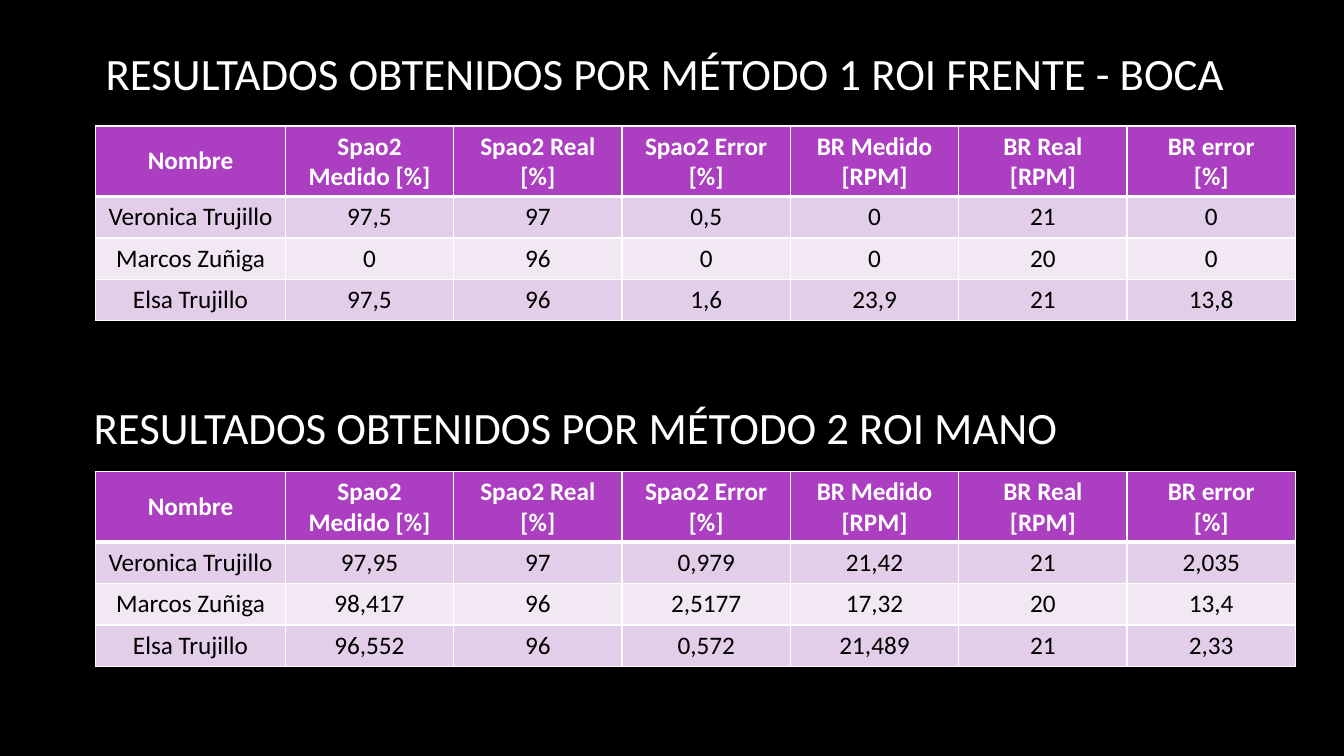
from lxml import etree
from pptx import Presentation
from pptx import util as u
from pptx.dml.color import RGBColor
from pptx.enum import text
from pptx.oxml import ns

COLORS = {
    "background": "000000",
    "white": "FFFFFF",
    "black": "000000",
    "header": "AC3EC1",
    "odd": "E3CEE9",
    "even": "F1E8F4",
}


def write(tf, content, size=18, color="black", bold=False, align=text.PP_ALIGN.LEFT):
    tf.word_wrap = True
    for i, line in enumerate(content.split("\n")):
        p = tf.add_paragraph() if i else tf.paragraphs[0]
        p.alignment = align
        r = p.add_run()
        r.text = line
        r.font.name = "Calibri"
        r.font.size = u.Pt(size)
        r.font.bold = bold
        r.font.color.rgb = RGBColor.from_string(COLORS[color])


def set_borders(cell, widths):
    tcPr = cell._tc.get_or_add_tcPr()
    for side, width in widths.items():
        ln = etree.SubElement(tcPr, ns.qn("a:ln" + side), w=str(u.Pt(width)))
        fill = etree.SubElement(ln, ns.qn("a:solidFill"))
        etree.SubElement(fill, ns.qn("a:srgbClr"), val=COLORS["white"])


HEADER = ["Nombre", "Spao2 Medido [%]", "Spao2 Real [%]", "Spao2 Error [%]",
          "BR Medido [RPM]", "BR Real [RPM]", "BR error\n[%]"]
COL_WIDTHS = [1.88] + [1.67] * 6
ROW_HEIGHTS = [0.7] + [0.41] * 3

SECTIONS = [
    ("RESULTADOS OBTENIDOS POR MÉTODO 1 ROI FRENTE - BOCA", 0.95, -0.01, 1.25, [
        ["Veronica Trujillo", "97,5", "97", "0,5", "0", "21", "0"],
        ["Marcos Zuñiga", "0", "96", "0", "0", "20", "0"],
        ["Elsa Trujillo", "97,5", "96", "1,6", "23,9", "21", "13,8"],
    ]),
    ("RESULTADOS OBTENIDOS POR MÉTODO 2 ROI MANO", 0.83, 3.51, 4.68, [
        ["Veronica Trujillo", "97,95", "97", "0,979", "21,42", "21", "2,035"],
        ["Marcos Zuñiga", "98,417", "96", "2,5177", "17,32", "20", "13,4"],
        ["Elsa Trujillo", "96,552", "96", "0,572", "21,489", "21", "2,33"],
    ]),
]

prs = Presentation()
prs.slide_width = u.Inches(13.33)
prs.slide_height = u.Inches(7.5)
s = prs.slides.add_slide(prs.slide_layouts[6])
s.background.fill.solid()
s.background.fill.fore_color.rgb = RGBColor.from_string(COLORS["background"])

for title, title_left, title_top, table_top, results in SECTIONS:
    sp = s.shapes.add_textbox(u.Inches(title_left), u.Inches(title_top),
                              u.Inches(12.07), u.Inches(1.45))
    sp.text_frame.vertical_anchor = text.MSO_ANCHOR.MIDDLE
    write(sp.text_frame, title, size=32, color="white")

    rows = [HEADER] + results
    table = s.shapes.add_table(len(rows), len(HEADER), u.Inches(0.95), u.Inches(table_top),
                               u.Inches(sum(COL_WIDTHS)), u.Inches(sum(ROW_HEIGHTS))).table
    for col, width in zip(table.columns, COL_WIDTHS):
        col.width = u.Inches(width)
    for i, (values, height) in enumerate(zip(rows, ROW_HEIGHTS)):
        table.rows[i].height = u.Inches(height)
        is_header = i == 0
        fill = "header" if is_header else "odd" if i % 2 else "even"
        borders = {"L": 1, "R": 1, "T": 3 if i == 1 else 1, "B": 3 if is_header else 1}
        for j, value in enumerate(values):
            cell = table.cell(i, j)
            cell.vertical_anchor = text.MSO_ANCHOR.MIDDLE
            set_borders(cell, borders)
            cell.fill.solid()
            cell.fill.fore_color.rgb = RGBColor.from_string(COLORS[fill])
            write(cell.text_frame, value, color="white" if is_header else "black",
                  bold=is_header, align=text.PP_ALIGN.CENTER)

prs.save("out.pptx")
